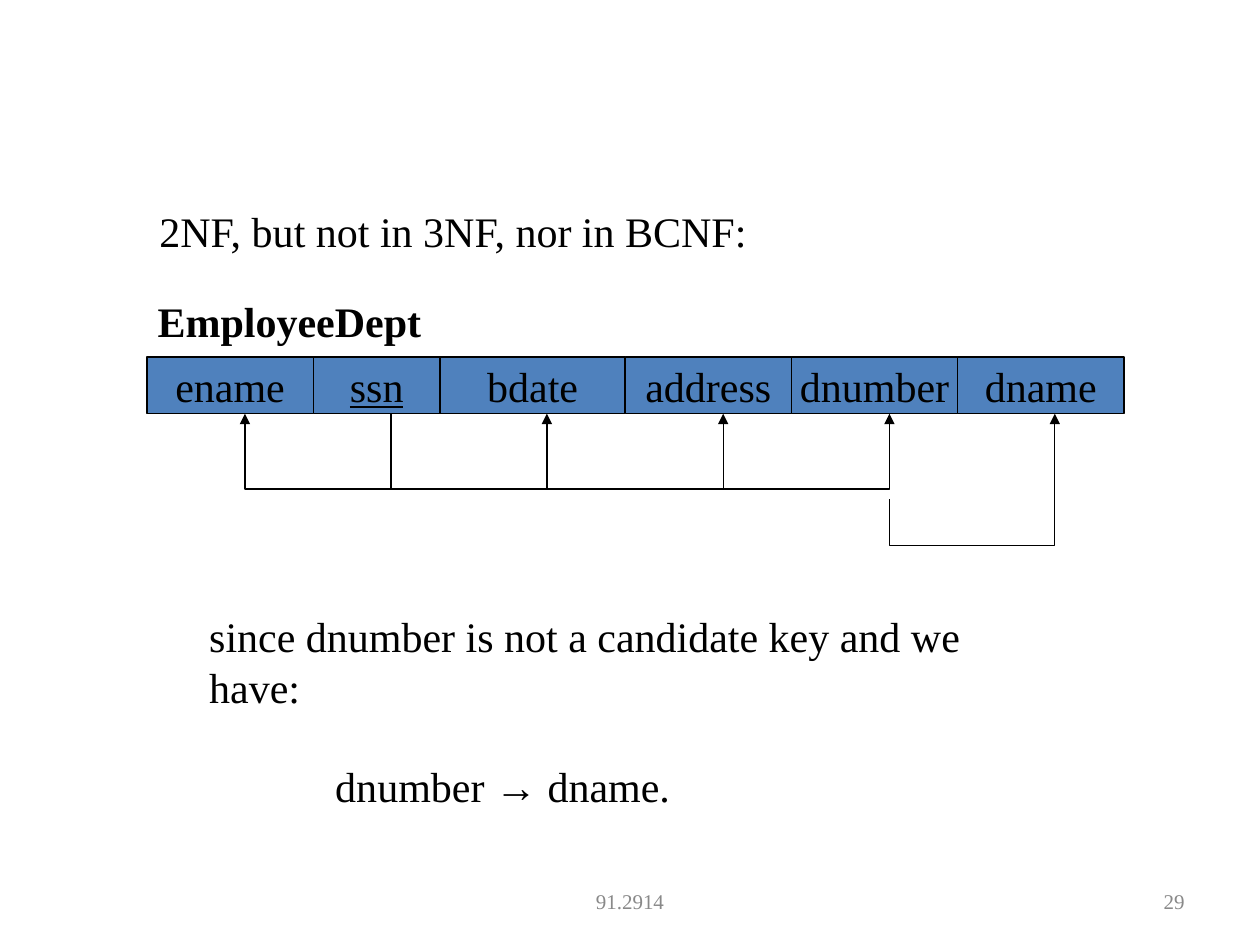
import pptx
import pptx.util
import pptx.dml.color
import pptx.enum.shapes
import pptx.enum.text
import pptx.oxml
import pptx.oxml.ns

Pt = pptx.util.Pt
RGB = pptx.dml.color.RGBColor
ALIGN = pptx.enum.text.PP_ALIGN
ANCHOR = pptx.enum.text.MSO_ANCHOR
FIT = pptx.enum.text.MSO_AUTO_SIZE
RECT = pptx.enum.shapes.MSO_SHAPE.RECTANGLE

BLACK = RGB(0x00, 0x00, 0x00)
GREY = RGB(0x89, 0x89, 0x89)
BLUE = RGB(0x4F, 0x81, 0xBD)
SERIF = "Times New Roman"

# Name, cell width, offset of the arrow within the cell
COLS = [("ename", 95, 56), ("ssn", 72.5, 44.5), ("bdate", 105.75, 61),
        ("address", 95, 56), ("dnumber", 95, 56), ("dname", 95, 55.5)]


def style(frame, size=24, color=BLACK, align=ALIGN.LEFT):
    for par in frame.paragraphs:
        par.alignment = align
        for run in par.runs:
            run.font.name = SERIF
            run.font.size = Pt(size)
            run.font.color.rgb = color


def add_text(slide, box, text, wrap=False):
    frame = slide.shapes.add_textbox(*map(Pt, box)).text_frame
    frame.text = text
    frame.word_wrap = wrap
    frame.auto_size = FIT.SHAPE_TO_FIT_TEXT
    style(frame)
    return frame


def add_note(slide, box):
    frame = add_text(slide, box,
                     "since dnumber is not a candidate key and we have:")
    rule = frame.add_paragraph()
    rule.space_before = Pt(28)
    for part in ("dnumber ", "→", " dname."):
        rule.add_run().text = part
    style(frame)
    rule.runs[1].font.name = "Arial"
    rule._p.get_or_add_pPr().set("marL", str(Pt(72)))


def add_cell(slide, box, name):
    cell = slide.shapes.add_shape(RECT, *map(Pt, box))
    cell.shadow.inherit = False
    cell.fill.solid()
    cell.fill.fore_color.rgb = BLUE
    cell.line.color.rgb = BLACK
    cell.line.width = Pt(0.75)
    frame = cell.text_frame
    frame.text = name
    frame.word_wrap = False
    frame.vertical_anchor = ANCHOR.MIDDLE
    style(frame, align=ALIGN.CENTER)
    frame.paragraphs[0].runs[0].font.underline = name == "ssn"


def add_link(slide, start, end, low):
    """Draw a bent arrow from start down to low and up to end."""
    points = [(start[0], low), (end[0], low), end]
    pen = slide.shapes.build_freeform(Pt(start[0]), Pt(start[1]))
    pen.add_line_segments([(Pt(x), Pt(y)) for x, y in points], close=False)
    link = pen.convert_to_shape()
    link.shadow.inherit = False
    link.fill.background()
    link.line.color.rgb = BLACK
    link.line.width = Pt(0.75)
    tip = pptx.oxml.parse_xml(
        '<a:tailEnd %s type="triangle"/>' % pptx.oxml.ns.nsdecls("a"))
    link.line._get_or_add_ln().append(tip)


def add_schema(slide, box):
    left, top, _, high = box
    base = top + high
    stops = {}
    # Attribute cells
    for name, wide, shift in COLS:
        add_cell(slide, (left, top, wide, high), name)
        stops[name] = left + shift
        left += wide
    # Dependencies on the key, then the transitive one
    for name in ("ename", "bdate", "dnumber", "address"):
        add_link(slide, (stops["ssn"], base), (stops[name], base), base + 43)
    add_link(slide, (stops["dnumber"], base + 49),
             (stops["dname"], base), base + 75.5)


def add_foot(slide, box, text, align):
    frame = slide.shapes.add_textbox(*map(Pt, box)).text_frame
    frame.text = text
    frame.word_wrap = True
    frame.vertical_anchor = ANCHOR.MIDDLE
    style(frame, 12, GREY, align)


def main():
    deck = pptx.Presentation()
    deck.slide_width, deck.slide_height = Pt(720), Pt(540)
    slide = deck.slides.add_slide(deck.slide_layouts[6])
    # Footer
    add_foot(slide, (246, 500.5, 228, 28.75), "91.2914", ALIGN.CENTER)
    add_foot(slide, (516, 500.5, 168, 28.75), "29", ALIGN.RIGHT)
    # Statements
    add_text(slide, (84, 114, 353.5, 36), "2NF, but not in 3NF, nor in BCNF:")
    add_note(slide, (112.5, 345.5, 501, 93.5))
    # Relation
    head = add_text(slide, (83, 165.5, 186, 36), "EmployeeDept", wrap=True)
    head.paragraphs[0].runs[0].font.bold = True
    add_schema(slide, (84, 204, 558.25, 32.4))
    deck.save("out.pptx")


if __name__ == "__main__":
    main()
